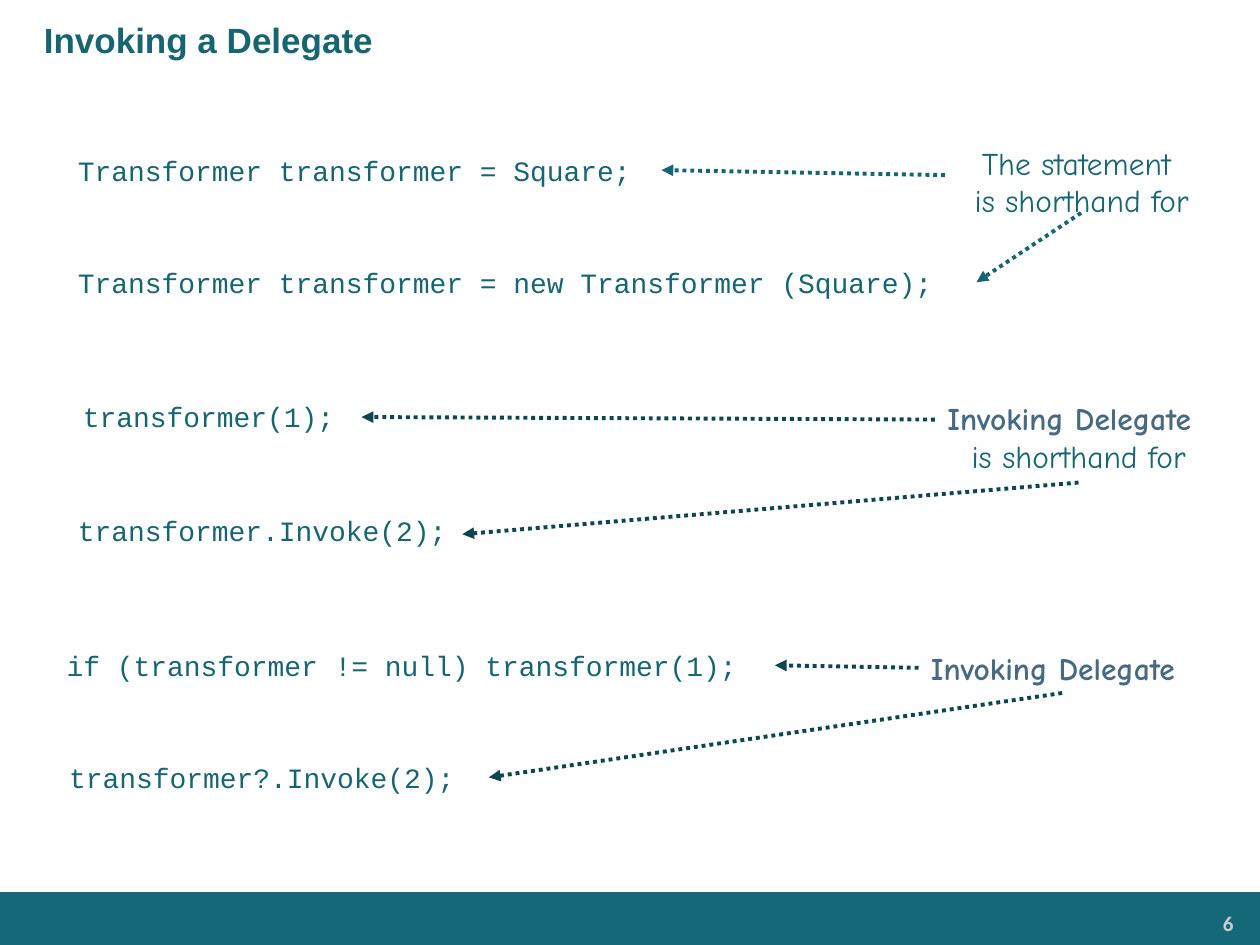
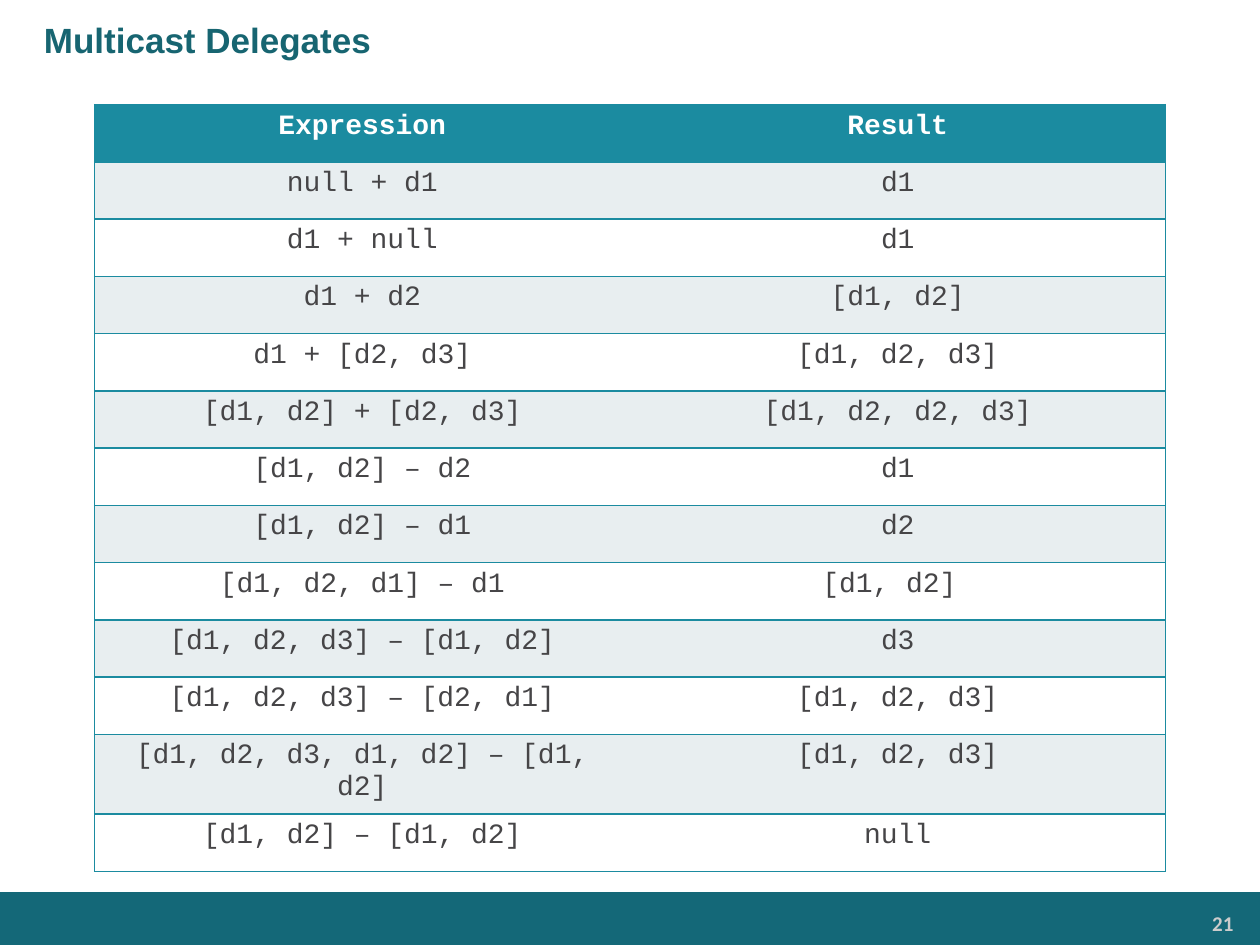
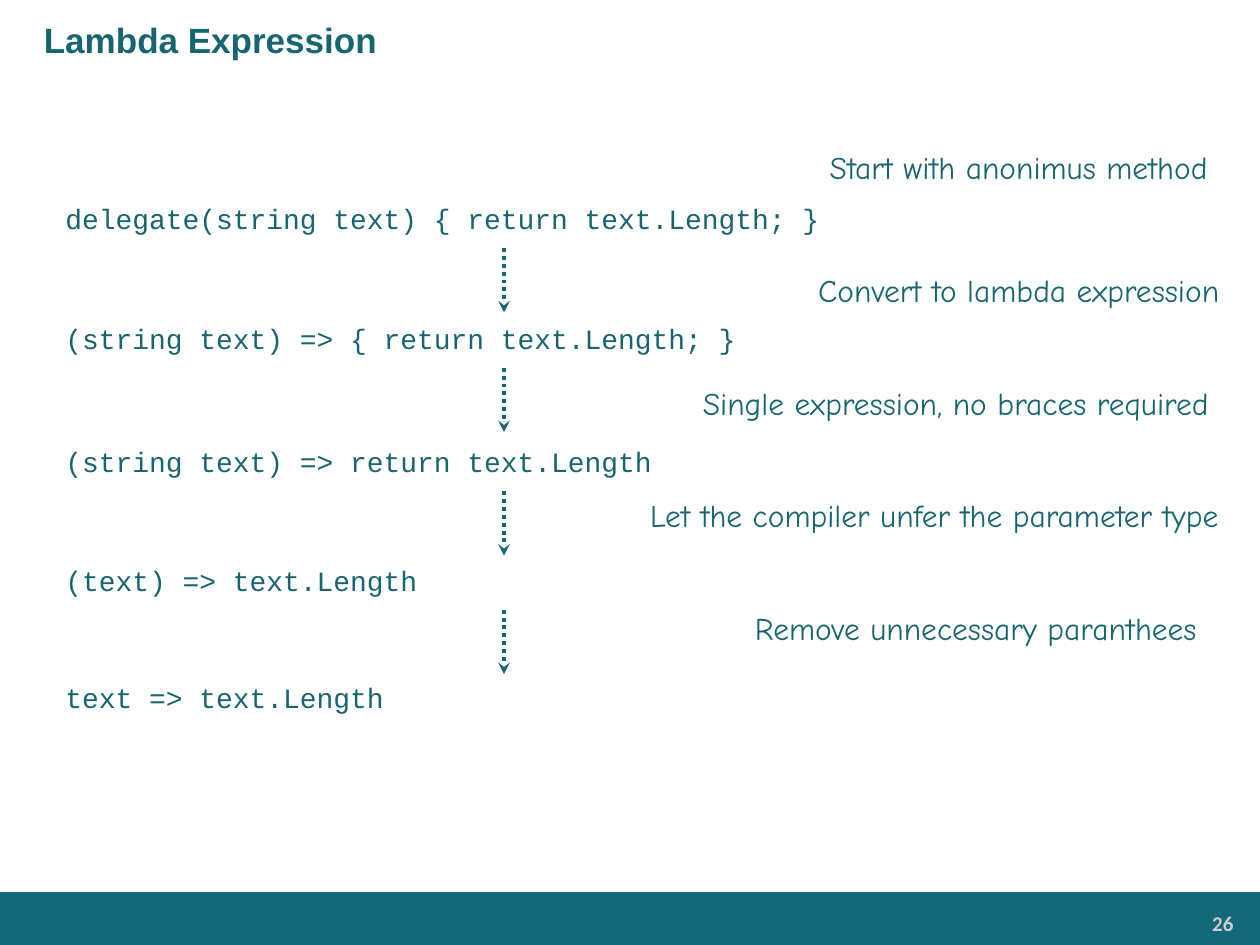
from lxml import etree
from pptx import Presentation
from pptx.dml.color import RGBColor
from pptx.enum.dml import MSO_LINE
from pptx.enum.shapes import MSO_CONNECTOR, MSO_SHAPE
from pptx.enum.text import MSO_ANCHOR, PP_ALIGN
from pptx.oxml.ns import qn
from pptx.util import Inches, Pt

LEFT, CENTER, RIGHT = PP_ALIGN.LEFT, PP_ALIGN.CENTER, PP_ALIGN.RIGHT
TOP, MIDDLE = MSO_ANCHOR.TOP, MSO_ANCHOR.MIDDLE
STRAIGHT, RECT, DOTTED = MSO_CONNECTOR.STRAIGHT, MSO_SHAPE.RECTANGLE, MSO_LINE.ROUND_DOT

COLORS = {
    "band": "146878", "ink": "176571", "dark": "0D4650", "label": "486A80",
    "number": "CCCCCC", "head": "1B8BA0", "stripe": "E8EEF0",
    "white": "FFFFFF", "cell": "464547",
}
TITLE_FONT, NUMBER_FONT, NOTE_FONT, CODE_FONT = "Arial", "Calibri", "Comic Neue", "Courier New"
W, H = 10, 7.5
BAND_TOP, TITLE_H = 7.08, 0.63
CODE_H = 0.37

# ---- Content ----
# Code lines: left, top, width, text
INVOKE_CODE = [
    (0.52, 1.17, 4.73, "Transformer transformer = Square;"),
    (0.52, 2.06, 7.23, "Transformer transformer = new Transformer (Square);"),
    (0.56, 3.12, 2.31, "transformer(1);"),
    (0.52, 4.03, 3.43, "transformer.Invoke(2);"),
    (0.43, 5.1, 5.72, "if (transformer != null) transformer(1);"),
    (0.45, 5.99, 3.43, "transformer?.Invoke(2);"),
]
# Arrows: from, to, colour
INVOKE_ARROWS = [
    ((7.5, 1.39), (5.25, 1.35), "ink"),
    ((8.58, 1.69), (7.75, 2.24), "ink"),
    ((7.42, 3.33), (2.87, 3.31), "dark"),
    ((8.56, 3.83), (3.67, 4.24), "dark"),
    ((7.29, 5.3), (6.15, 5.28), "dark"),
    ((8.43, 5.5), (3.88, 6.17), "dark"),
]
# Labels: box, lines as (text, alignment, colour, bold)
SHORTHAND = ("is shorthand for", CENTER, "ink", False)
INVOKING = ("Invoking Delegate", LEFT, "label", True)
INVOKE_LABELS = [
    ((7.6, 1.09, 1.97, 0.61), [("The statement ", CENTER, "ink", False), SHORTHAND]),
    ((7.42, 3.12, 2.28, 0.71), [INVOKING, SHORTHAND]),
    ((7.29, 5.1, 2.28, 0.4), [INVOKING]),
]

EXPRESSIONS = [
    ("Expression", "Result"),
    ("null + d1", "d1"),
    ("d1 + null", "d1"),
    ("d1 + d2", "[d1, d2]"),
    ("d1 + [d2, d3]", "[d1, d2, d3]"),
    ("[d1, d2] + [d2, d3]", "[d1, d2, d2, d3]"),
    ("[d1, d2] – d2", "d1"),
    ("[d1, d2] – d1", "d2"),
    ("[d1, d2, d1] – d1", "[d1, d2] "),
    ("[d1, d2, d3] – [d1, d2]", "d3"),
    ("[d1, d2, d3] – [d2, d1]", "[d1, d2, d3]"),
    ("[d1, d2, d3, d1, d2] – [d1, d2]", "[d1, d2, d3]"),
    ("[d1, d2] – [d1, d2]", "null"),
]

# Lambda steps: code top, code, note left, note width, note
LAMBDA_STEPS = [
    (1.55, "delegate(string text) { return text.Length; }", 6, 4.17, "Start with anonimus method"),
    (2.5, "(string text) => { return text.Length; }", 6, 4.17, "Convert to lambda expression"),
    (3.48, "(string text) => return text.Length", 5.17, 4.83, "Single expression, no braces required"),
    (4.42, "(text) => text.Length", 5, 4.83, "Let the compiler unfer the parameter type"),
    (5.35, "text => text.Length", 5.83, 3.83, "Remove unnecessary paranthees"),
]
NOTE_TOPS = [1.02, 2, 2.89, 3.78, 4.68]

prs = Presentation()
prs.slide_width, prs.slide_height = Inches(W), Inches(H)


# ---- Helpers ----
def rgb(name):
    return RGBColor.from_string(COLORS[name])


def style(p, font, size, color, bold=False, align=LEFT):
    p.alignment = align
    for r in p.runs:
        r.font.name, r.font.size, r.font.bold = font, Pt(size), bold
        r.font.color.rgb = rgb(color)


def add_text(s, box, lines, font, size, anchor=TOP, inset=(0.1, 0.05)):
    """Lines are (text, alignment, colour, bold)."""
    tf = s.shapes.add_textbox(*map(Inches, box)).text_frame
    tf.word_wrap, tf.vertical_anchor = True, anchor
    tf.margin_left = tf.margin_right = Inches(inset[0])
    tf.margin_top = tf.margin_bottom = Inches(inset[1])
    tf.text = "\n".join(line[0] for line in lines)
    for p, (_, align, color, bold) in zip(tf.paragraphs, lines):
        style(p, font, size, color, bold, align)
    return tf


def add_code(s, left, top, width, text):
    add_text(s, (left, top, width, CODE_H), [(text, LEFT, "ink", False)], CODE_FONT, 16)


def add_arrow(s, start, end, color, head):
    c = s.shapes.add_connector(STRAIGHT, *map(Inches, start + end))
    c.line.color.rgb, c.line.width, c.line.dash_style = rgb(color), Pt(2.25), DOTTED
    etree.SubElement(c.line._get_or_add_ln(), qn("a:tailEnd"), type=head)
    etree.SubElement(c._element.spPr, qn("a:effectLst"))


def add_slide(title, number):
    s = prs.slides.add_slide(prs.slide_layouts[6])
    band = s.shapes.add_shape(RECT, 0, Inches(BAND_TOP), Inches(W), Inches(H - BAND_TOP))
    band.shadow.inherit = False
    band.fill.solid()
    band.fill.fore_color.rgb = rgb("band")
    band.line.fill.background()
    add_text(s, (8.23, 7.19, 1.63, 0.28), [(str(number), RIGHT, "number", True)],
             NUMBER_FONT, 12, inset=(0.07, 0.04))
    tf = add_text(s, (0, 0, W, TITLE_H), [(title, LEFT, "ink", True)], TITLE_FONT, 20, MIDDLE)
    tf.paragraphs[0]._p.get_or_add_pPr().set("marL", str(Inches(0.25)))
    return s


def set_borders(cell, sides):
    """Rule the named sides and leave the others clear."""
    tcPr = cell._tc.get_or_add_tcPr()
    for i, side in enumerate("LRTB"):
        ln = etree.Element(qn(f"a:ln{side}"), w=str(Pt(1)))
        if side in sides:
            fill = etree.SubElement(ln, qn("a:solidFill"))
            etree.SubElement(fill, qn("a:srgbClr"), val=COLORS["head"])
        else:
            etree.SubElement(ln, qn("a:noFill"))
        tcPr.insert(i, ln)


# ---- Invoking a delegate ----
s = add_slide("Invoking a Delegate", 6)
for code in INVOKE_CODE:
    add_code(s, *code)
for box, lines in INVOKE_LABELS:
    add_text(s, box, lines, NOTE_FONT, 18)
for start, end, color in INVOKE_ARROWS:
    add_arrow(s, start, end, color, "triangle")

# ---- Multicast table ----
s = add_slide("Multicast Delegates", 21)
rows = len(EXPRESSIONS)
table = s.shapes.add_table(rows, 2, Inches(0.75), Inches(0.83), Inches(8.5), Inches(5.91)).table
for i, texts in enumerate(EXPRESSIONS):
    fill = "head" if i == 0 else "stripe" if i % 2 else "white"
    for j, text in enumerate(texts):
        cell = table.cell(i, j)
        cell.text = text
        style(cell.text_frame.paragraphs[0], CODE_FONT, 16,
              "cell" if i else "white", i == 0, CENTER)
        cell.fill.solid()
        cell.fill.fore_color.rgb = rgb(fill)
        set_borders(cell, "TB" + "LR"[j])

# ---- Lambda steps ----
s = add_slide("Lambda Expression", 26)
for i, (top, code, left, width, note) in enumerate(LAMBDA_STEPS):
    add_code(s, 0.42, top, 7.92, code)
    tf = add_text(s, (left, NOTE_TOPS[i], width, 0.51), [(note, CENTER, "ink", False)], NOTE_FONT, 18)
    tf.paragraphs[0].line_spacing = 1.35
    if i + 1 < len(LAMBDA_STEPS):
        start = top + CODE_H + 0.05
        add_arrow(s, (4, start), (4, start + 0.51), "ink", "stealth")

prs.save("out.pptx")
